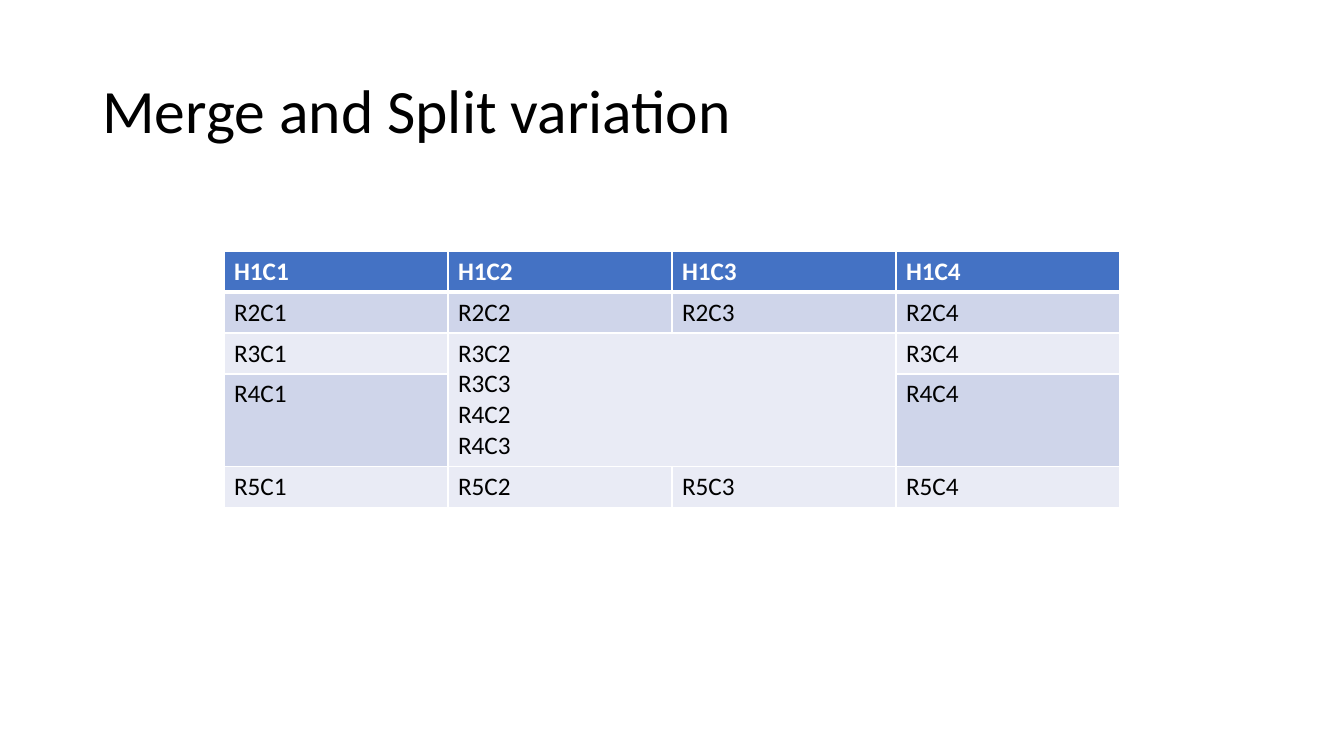
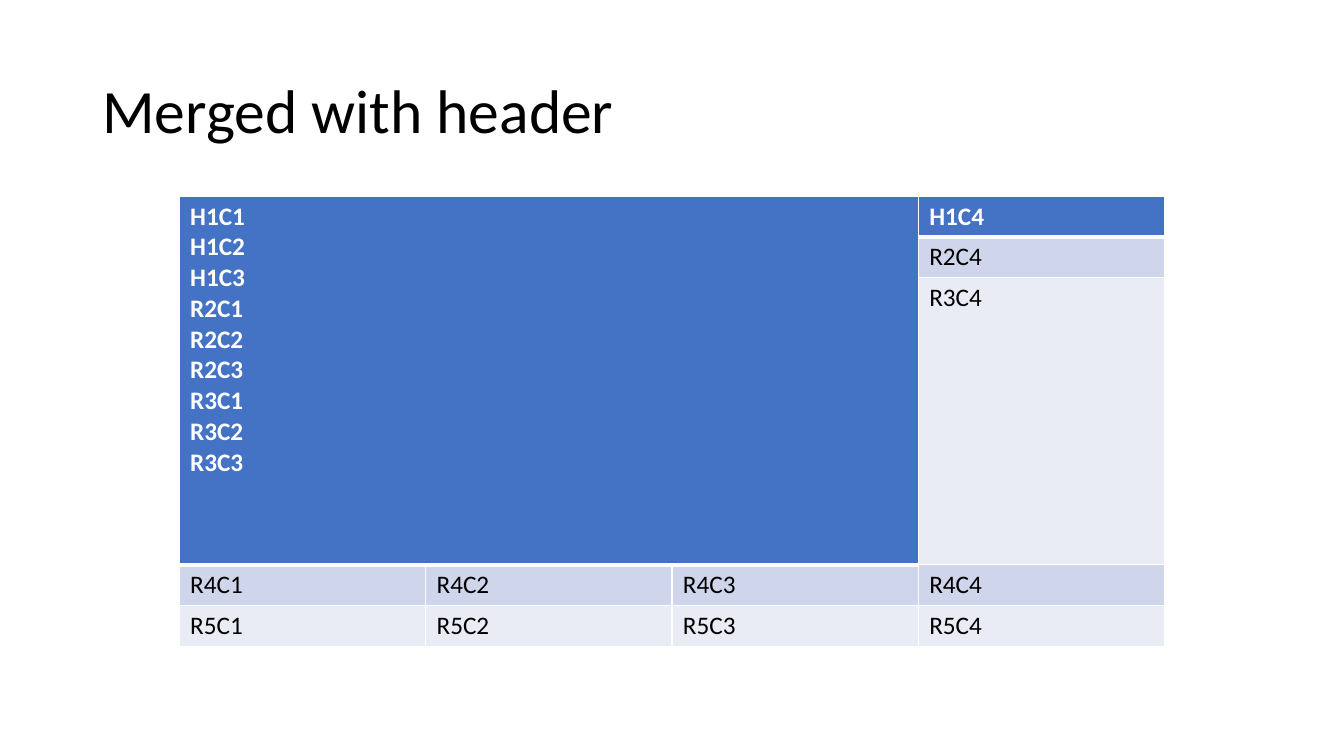
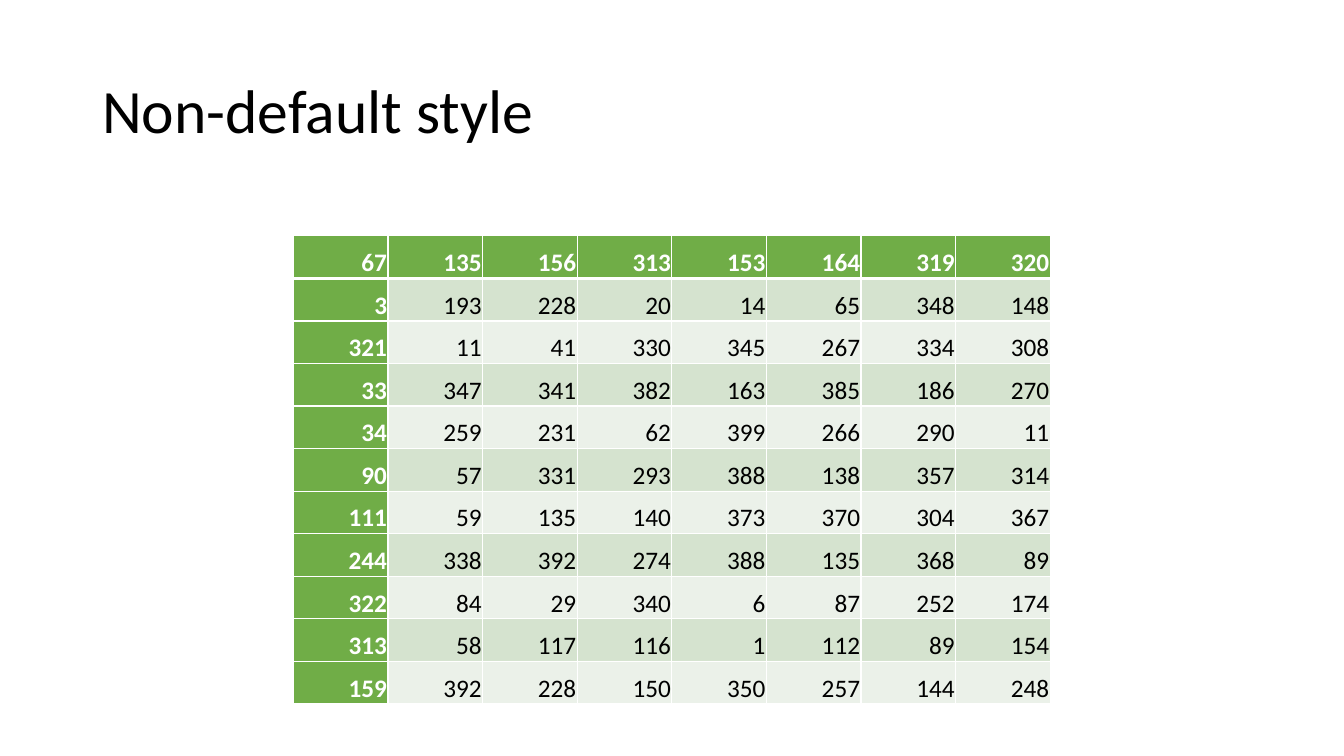
import dataclasses

import pptx
import pptx.dml.color
import pptx.enum.text
import pptx.oxml.ns
import pptx.util
from lxml import etree

Pt = pptx.util.Pt
Align = pptx.enum.text.PP_ALIGN
Anchor = pptx.enum.text.MSO_ANCHOR


@dataclasses.dataclass(frozen=True)
class Theme:
    """Colours, type sizes and measures shared by all slides."""
    font: str = "Calibri"
    title_size: int = 44
    table_size: int = 18
    dark: str = "000000"
    light: str = "FFFFFF"
    # Each palette: header fill, odd band, even band
    blue: tuple = ("4472C4", "CFD5EA", "E9EBF5")
    green: tuple = ("70AD47", "D5E3CF", "EBF1E9")
    rule: int = 1
    header_rule: int = 3
    width: int = 960
    height: int = 540


def rgb(code):
    return pptx.dml.color.RGBColor.from_string(code)


class Deck:
    def __init__(self, theme):
        self.theme = theme
        self.deck = pptx.Presentation()
        self.deck.slide_width = Pt(theme.width)
        self.deck.slide_height = Pt(theme.height)
        self.page = None

    def new_page(self):
        self.page = self.deck.slides.add_slide(self.deck.slide_layouts[6])

    def format_text(self, frame, size, color, bold=False, align=Align.LEFT):
        for para in frame.paragraphs:
            para.alignment = align
            for span in para.runs:
                span.font.name = self.theme.font
                span.font.size = Pt(size)
                span.font.bold = bold
                span.font.color.rgb = rgb(color)

    def title(self, text):
        box = self.page.shapes.add_textbox(Pt(66), Pt(28.8), Pt(828), Pt(104.4))
        frame = box.text_frame
        frame.word_wrap = True
        frame.vertical_anchor = Anchor.MIDDLE
        frame.text = text
        frame.paragraphs[0].line_spacing = 0.9
        self.format_text(frame, self.theme.title_size, self.theme.dark)

    def borders(self, cell, top, bottom):
        """Draw the four cell edges; call before the cell is filled."""
        properties = cell._tc.get_or_add_tcPr()
        qn = pptx.oxml.ns.qn
        rule = self.theme.rule
        for side, weight in (("L", rule), ("R", rule), ("T", top), ("B", bottom)):
            line = etree.SubElement(properties, qn(f"a:ln{side}"), w=str(Pt(weight)))
            fill = etree.SubElement(line, qn("a:solidFill"))
            etree.SubElement(fill, qn("a:srgbClr"), val=self.theme.light)

    def table(self, rows, top, column_width, heights, palette, merge=None,
              header_column=False, insets=(7.2, 3.6, 7.2, 3.6),
              align=Align.LEFT, anchor=Anchor.TOP):
        """Add a centred table; merge is (first row, first column, last row, last column)."""
        theme = self.theme
        count = len(rows[0])
        width = count * column_width
        table = self.page.shapes.add_table(
            len(rows), count, Pt((theme.width - width) / 2), Pt(top),
            Pt(width), Pt(sum(heights))).table
        table.horz_banding = False
        table.first_col = header_column
        for column in table.columns:
            column.width = Pt(column_width)
        for row, height in zip(table.rows, heights):
            row.height = Pt(height)

        # Text; merging gathers the texts of the joined cells
        for r, values in enumerate(rows):
            for c, value in enumerate(values):
                table.cell(r, c).text_frame.text = str(value)
        header_depth = [1] * count
        if merge:
            first_row, first_column, last_row, last_column = merge
            table.cell(first_row, first_column).merge(table.cell(last_row, last_column))
            if first_row == 0:
                for c in range(first_column, last_column + 1):
                    header_depth[c] = last_row + 1

        # Cell style
        for r in range(len(rows)):
            for c, depth in enumerate(header_depth):
                cell = table.cell(r, c)
                is_header = r < depth or (header_column and c == 0)
                self.borders(cell,
                             theme.header_rule if r == depth else theme.rule,
                             theme.header_rule if r == depth - 1 else theme.rule)
                cell.fill.solid()
                cell.fill.fore_color.rgb = rgb(palette[0 if is_header else 2 - r % 2])
                cell.vertical_anchor = anchor
                (cell.margin_left, cell.margin_top,
                 cell.margin_right, cell.margin_bottom) = map(Pt, insets)
                self.format_text(cell.text_frame, theme.table_size,
                                 theme.light if is_header else theme.dark,
                                 is_header, align)


def labels(row_count, column_count):
    return [[f"{'H' if r == 1 else 'R'}{r}C{c}" for c in range(1, column_count + 1)]
            for r in range(1, row_count + 1)]


NUMBERS = [
    [67, 135, 156, 313, 153, 164, 319, 320],
    [3, 193, 228, 20, 14, 65, 348, 148],
    [321, 11, 41, 330, 345, 267, 334, 308],
    [33, 347, 341, 382, 163, 385, 186, 270],
    [34, 259, 231, 62, 399, 266, 290, 11],
    [90, 57, 331, 293, 388, 138, 357, 314],
    [111, 59, 135, 140, 373, 370, 304, 367],
    [244, 338, 392, 274, 388, 135, 368, 89],
    [322, 84, 29, 340, 6, 87, 252, 174],
    [313, 58, 117, 116, 1, 112, 89, 154],
    [159, 392, 228, 150, 350, 257, 144, 248],
]


def main():
    theme = Theme()
    deck = Deck(theme)
    row = 29.2

    # Merged block in the body
    deck.new_page()
    deck.table(labels(5, 4), 179.5, 160, [row, row, row, 66, row], theme.blue,
               merge=(2, 1, 3, 2))
    deck.title("Merge and Split variation")

    # Merged block that includes the header
    deck.new_page()
    deck.table(labels(5, 4), 140, 176, [row, row, 205, row, row], theme.blue,
               merge=(0, 0, 2, 2), insets=(7.9, 3.6, 7.9, 3.6))
    deck.title("Merged with header")

    # Number grid with a header row and a header column
    deck.new_page()
    deck.table(NUMBERS, 168.5, 67.6, [30.4] * len(NUMBERS), theme.green,
               header_column=True, insets=(0.75, 0.75, 0.75, 0),
               align=Align.RIGHT, anchor=Anchor.BOTTOM)
    deck.title("Non-default style")

    deck.deck.save("out.pptx")


if __name__ == "__main__":
    main()
